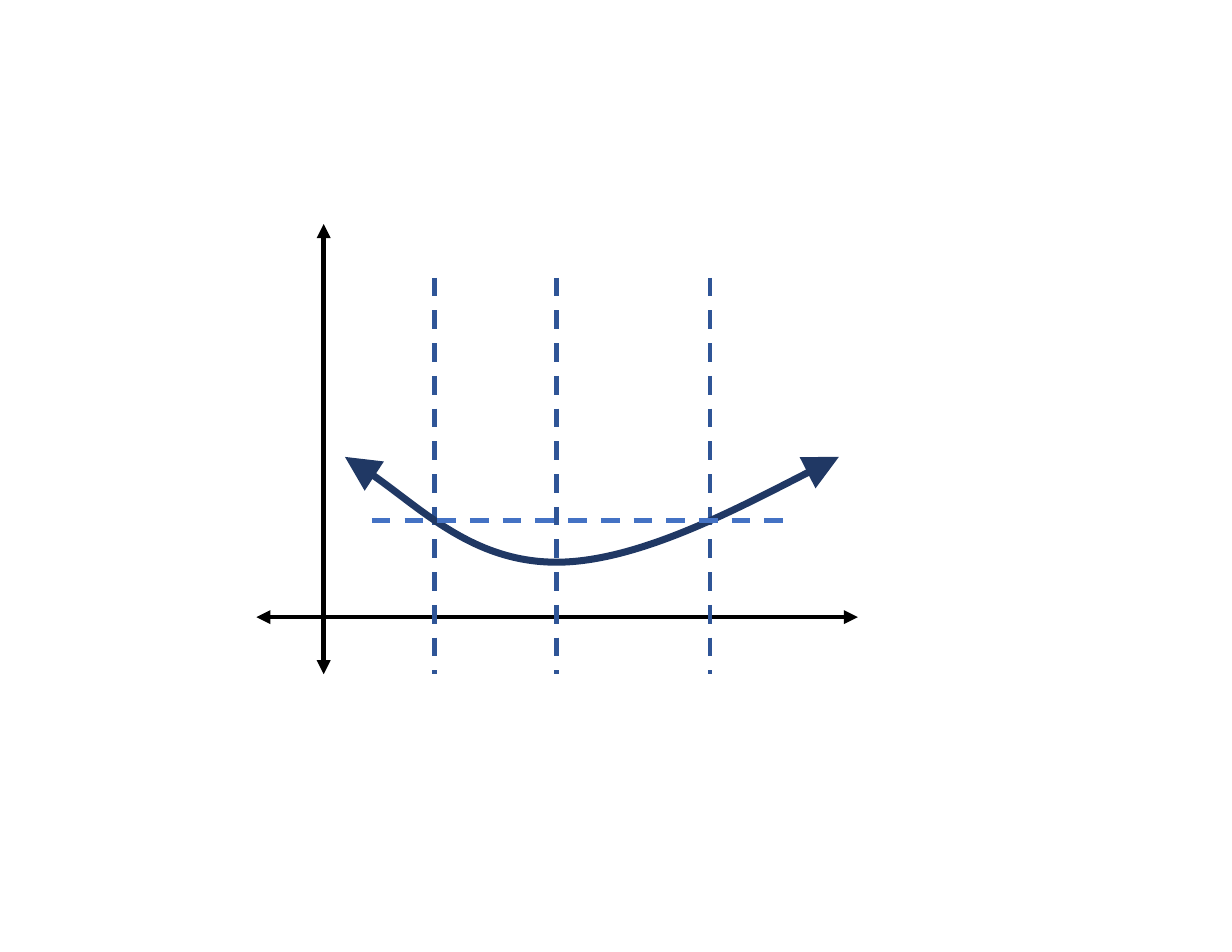
from dataclasses import dataclass

from lxml.etree import SubElement
from pptx import Presentation
from pptx.dml.color import RGBColor
from pptx.enum.dml import MSO_LINE
from pptx.enum.shapes import MSO_CONNECTOR as Connector
from pptx.oxml.ns import qn
from pptx.util import Inches, Pt

COLORS = {
    "axis": "000000",
    "guide": "2F5597",
    "level": "4472C4",
    "curve": "203864",
}
FORMATS = {
    "axis": {"width": Pt(3)},
    "guide": {"width": Pt(3), "dash_style": MSO_LINE.DASH},
    "level": {"width": Pt(3), "dash_style": MSO_LINE.DASH},
    "curve": {"width": Pt(4.5)},
}
ARROW_SIZES = {"axis": "med", "curve": "lg"}

Point = tuple[float, float]


@dataclass(frozen=True)
class Segment:
    role: str
    start: Point
    end: Point


# Axes, then the vertical guides
BOTTOM = 6.02
AXES = [
    Segment("axis", (2.29, 5.51), (7.66, 5.51)),
    Segment("axis", (2.89, 2), (2.89, BOTTOM)),
]
GUIDES = [Segment("guide", (x, 2.48), (x, BOTTOM)) for x in (3.88, 6.34, 4.97)]
LEVEL = Segment("level", (3.32, 4.65), (7.05, 4.65))

# Start point, then two controls and an end point for each Bézier piece
CURVE: list[Point] = [
    (3.08, 4.08),
    (3.56, 4.36), (4.23, 5.02), (4.97, 5.02),
    (5.71, 5.02), (6.97, 4.34), (7.49, 4.08),
]


def style_line(shape, role: str) -> None:
    """Apply colour, line format and arrowheads, without a shadow."""
    shape.line.fill.solid()
    shape.line.fill.fore_color.rgb = RGBColor.from_string(COLORS[role])
    for name, value in FORMATS[role].items():
        setattr(shape.line, name, value)
    properties = shape._element.spPr
    if role in ARROW_SIZES:
        size = ARROW_SIZES[role]
        outline = properties.find(qn("a:ln"))
        for end in ("a:headEnd", "a:tailEnd"):
            SubElement(outline, qn(end), type="triangle", w=size, len=size)
    SubElement(properties, qn("a:effectLst"))


def draw_segment(slide, segment: Segment) -> None:
    ends = [Inches(v) for v in segment.start + segment.end]
    line = slide.shapes.add_connector(Connector.STRAIGHT, *ends)
    style_line(line, segment.role)


def draw_curve(slide, points: list[Point]) -> None:
    """Build an open outline and join each three line steps into a Bézier."""
    start, *steps = [(Inches(x), Inches(y)) for x, y in points]
    builder = slide.shapes.build_freeform(*start)
    builder.add_line_segments(steps, close=False)
    curve = builder.convert_to_shape()
    curve.fill.background()
    outline = next(curve._element.iter(qn("a:path")))
    line_steps = outline.findall(qn("a:lnTo"))
    for first in range(0, len(line_steps), 3):
        bezier = SubElement(outline, qn("a:cubicBezTo"))
        for step in line_steps[first:first + 3]:
            bezier.append(step[0])
            outline.remove(step)
    style_line(curve, "curve")


def main() -> None:
    deck = Presentation()
    deck.slide_width, deck.slide_height = Inches(11), Inches(8.5)
    slide = deck.slides.add_slide(deck.slide_layouts[6])

    for segment in AXES + GUIDES:
        draw_segment(slide, segment)
    draw_curve(slide, CURVE)
    draw_segment(slide, LEVEL)

    deck.save("out.pptx")


if __name__ == "__main__":
    main()
